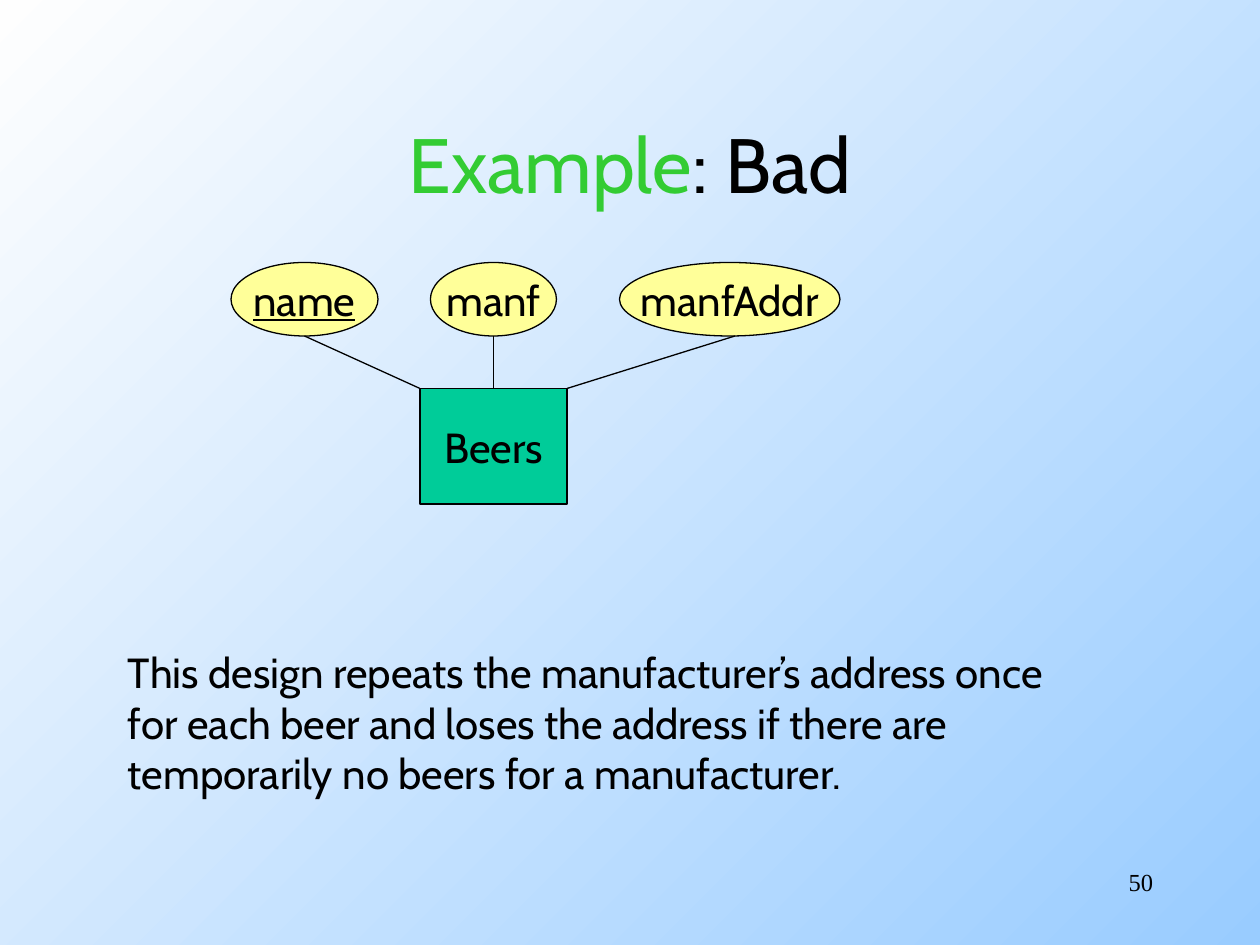
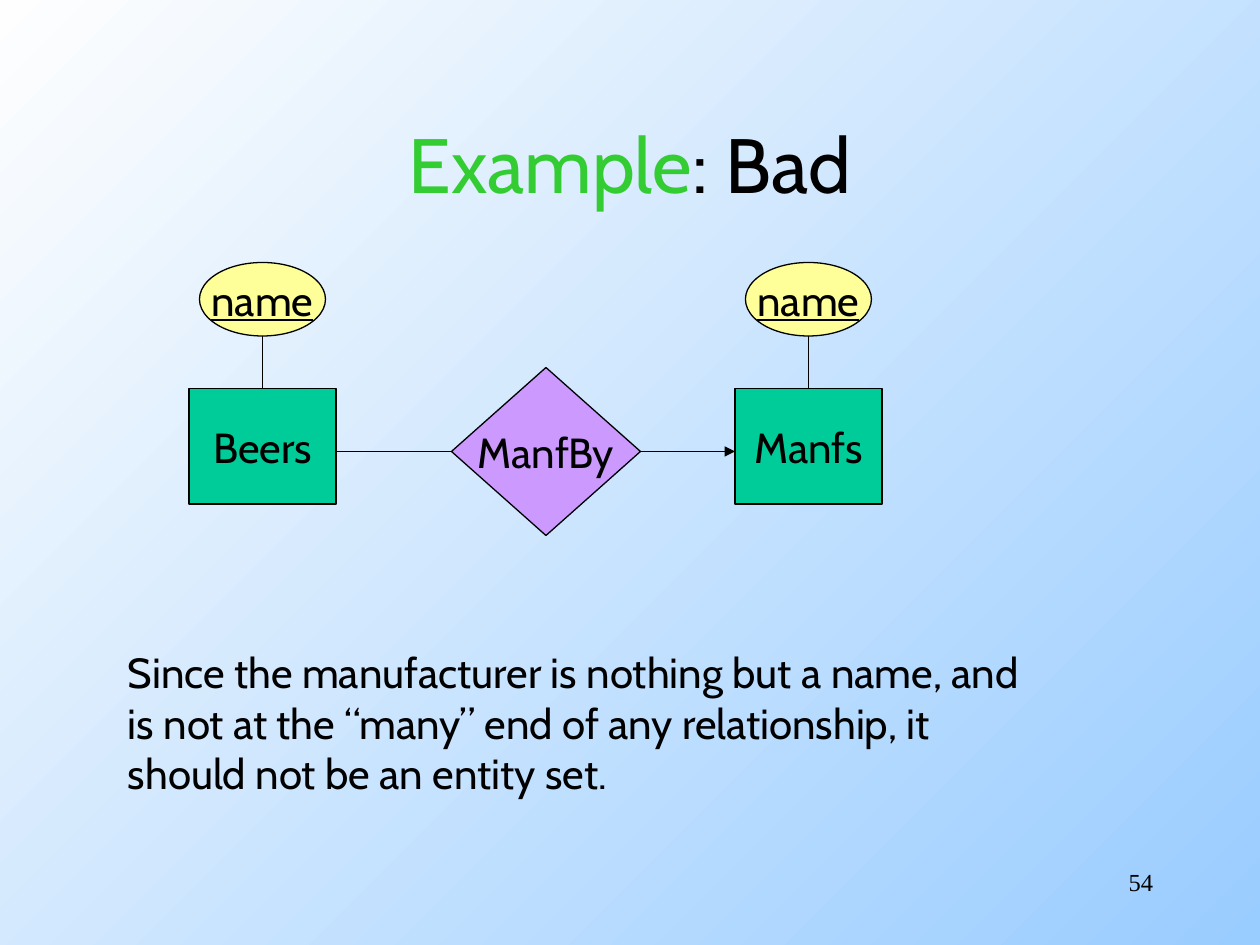
from dataclasses import dataclass
from typing import Optional

import lxml.etree
import pptx
import pptx.dml.color
import pptx.enum.dml
import pptx.enum.shapes
import pptx.enum.text
import pptx.oxml.ns
import pptx.presentation
import pptx.shapes.autoshape
import pptx.slide
import pptx.text.text
import pptx.util

Pt = pptx.util.Pt
Preset = pptx.enum.shapes.MSO_SHAPE
Align = pptx.enum.text.PP_ALIGN
Anchor = pptx.enum.text.MSO_ANCHOR
AutoSize = pptx.enum.text.MSO_AUTO_SIZE

BODY_FONT = "Cabin"
NUMBER_FONT = "Times New Roman"
BLACK = "000000"
ACCENT = "33CC33"
SKY = "99CCFF"
WHITE = "FEFEFE"
LINE_WIDTH = 0.75

ATTRIBUTE_TOP = 150
ATTRIBUTE_HEIGHT = 42
ATTRIBUTE_BOTTOM = ATTRIBUTE_TOP + ATTRIBUTE_HEIGHT
ENTITY_TOP = 222
ENTITY_WIDTH = 84
ENTITY_HEIGHT = 66
RELATION_WIDTH = 108
RELATION_HEIGHT = 96
RELATION_AXIS = 258


@dataclass(frozen=True)
class Node:
    label: str
    preset: Preset
    fill: str
    left: float
    top: float
    width: float
    height: float
    is_key: bool = False


@dataclass(frozen=True)
class Link:
    start: tuple[float, float]
    end: tuple[float, float]
    arrow: bool = False


@dataclass(frozen=True)
class Example:
    nodes: list[Node]
    links: list[Link]
    remark: str
    remark_height: float
    number: int


def entity(label: str, left: float) -> Node:
    return Node(label, Preset.RECTANGLE, "00CC99", left, ENTITY_TOP, ENTITY_WIDTH, ENTITY_HEIGHT)


def attribute(label: str, left: float, width: float, is_key: bool = False) -> Node:
    return Node(label, Preset.OVAL, "FFFF99", left, ATTRIBUTE_TOP, width, ATTRIBUTE_HEIGHT, is_key)


def relation(label: str, left: float) -> Node:
    top = RELATION_AXIS - RELATION_HEIGHT / 2
    return Node(label, Preset.DIAMOND, "CC99FF", left, top, RELATION_WIDTH, RELATION_HEIGHT)


def attribute_link(attribute_x: float, entity_x: float) -> Link:
    return Link((attribute_x, ATTRIBUTE_BOTTOM), (entity_x, ENTITY_TOP))


def relation_link(start_x: float, end_x: float, arrow: bool = False) -> Link:
    return Link((start_x, RELATION_AXIS), (end_x, RELATION_AXIS), arrow)


EXAMPLES = [
    Example(
        nodes=[
            entity("Beers", 240),
            attribute("name", 132, 84, is_key=True),
            attribute("manf", 246, 72),
            attribute("manfAddr", 354, 126),
        ],
        links=[attribute_link(174, 240), attribute_link(282, 282), attribute_link(420, 324)],
        remark="This design repeats the manufacturer’s address once for each beer "
        "and loses the address if there are temporarily no beers for a manufacturer.",
        remark_height=122.4,
        number=50,
    ),
    Example(
        nodes=[
            entity("Beers", 108),
            entity("Manfs", 420),
            relation("ManfBy", 258),
            attribute("name", 114, 72, is_key=True),
            attribute("name", 426, 72, is_key=True),
        ],
        links=[
            relation_link(366, 372),
            relation_link(258, 192),
            relation_link(372, 420, arrow=True),
            attribute_link(150, 150),
            attribute_link(462, 462),
        ],
        remark="Since the manufacturer is nothing but a name, and is not at the “many” end "
        "of any relationship, it should not be an entity set.",
        remark_height=93.6,
        number=54,
    ),
]


def rgb(value: str) -> pptx.dml.color.RGBColor:
    return pptx.dml.color.RGBColor.from_string(value)


def format_run(
    run: pptx.text.text._Run,
    size: float,
    color: str = BLACK,
    name: str = BODY_FONT,
    underline: Optional[bool] = None,
) -> None:
    run.font.size = Pt(size)
    run.font.name = name
    run.font.color.rgb = rgb(color)
    run.font.underline = underline


def paint_background(master: pptx.slide.SlideMaster) -> None:
    fill = master.background.fill
    fill.gradient()
    fill.gradient_angle = 135
    for stop, color in zip(fill.gradient_stops, (SKY, WHITE)):
        stop.color.rgb = rgb(color)


def format_title(slide: pptx.slide.Slide) -> None:
    title = slide.shapes.title
    title.left, title.top, title.width, title.height = Pt(54), Pt(48), Pt(612), Pt(90)
    frame = title.text_frame
    frame.text = "Example"
    frame.auto_size = AutoSize.NONE
    frame.vertical_anchor = Anchor.MIDDLE
    heading = frame.paragraphs[0]
    heading.alignment = Align.CENTER
    heading.add_run().text = ": Bad"
    for run, color in zip(heading.runs, (ACCENT, BLACK)):
        format_run(run, 44, color)


def draw_node(slide: pptx.slide.Slide, node: Node) -> None:
    shape = slide.shapes.add_shape(
        node.preset, Pt(node.left), Pt(node.top), Pt(node.width), Pt(node.height)
    )
    shape.shadow.inherit = False
    shape.fill.solid()
    shape.fill.fore_color.rgb = rgb(node.fill)
    shape.line.color.rgb = rgb(BLACK)
    shape.line.width = Pt(LINE_WIDTH)
    frame = shape.text_frame
    frame.text = node.label
    frame.word_wrap = False
    frame.vertical_anchor = Anchor.MIDDLE
    frame.paragraphs[0].alignment = Align.CENTER
    format_run(frame.paragraphs[0].runs[0], 24, underline=node.is_key or None)


def draw_link(slide: pptx.slide.Slide, link: Link) -> None:
    connector = slide.shapes.add_connector(
        pptx.enum.shapes.MSO_CONNECTOR.STRAIGHT,
        *(Pt(value) for value in link.start + link.end),
    )
    connector.line.color.rgb = rgb(BLACK)
    connector.line.width = Pt(LINE_WIDTH)
    properties = connector._element.spPr
    if link.arrow:
        outline = properties.find(pptx.oxml.ns.qn("a:ln"))
        lxml.etree.SubElement(outline, pptx.oxml.ns.qn("a:tailEnd"), type="triangle")
    lxml.etree.SubElement(properties, pptx.oxml.ns.qn("a:effectLst"))


def add_text(
    slide: pptx.slide.Slide, text: str, left: float, top: float, width: float, height: float
) -> pptx.text.text.TextFrame:
    box = slide.shapes.add_textbox(Pt(left), Pt(top), Pt(width), Pt(height))
    frame = box.text_frame
    frame.word_wrap = True
    frame.text = text
    return frame


def draw_remark(slide: pptx.slide.Slide, example: Example) -> None:
    remark = add_text(slide, example.remark, 66, 366, 541.5, example.remark_height)
    remark.auto_size = AutoSize.SHAPE_TO_FIT_TEXT
    format_run(remark.paragraphs[0].runs[0], 24)


def draw_number(slide: pptx.slide.Slide, example: Example) -> None:
    number = add_text(slide, str(example.number), 516, 492, 150, 36)
    number.paragraphs[0].alignment = Align.RIGHT
    format_run(number.paragraphs[0].runs[0], 14, name=NUMBER_FONT)


def build_slide(deck: pptx.presentation.Presentation, example: Example) -> None:
    slide = deck.slides.add_slide(deck.slide_layouts.get_by_name("Title Only"))
    format_title(slide)
    for node in example.nodes:
        draw_node(slide, node)
    for link in example.links:
        draw_link(slide, link)
    draw_remark(slide, example)
    draw_number(slide, example)


def main() -> None:
    deck = pptx.Presentation()
    deck.slide_width, deck.slide_height = Pt(720), Pt(540)
    paint_background(deck.slide_master)
    for example in EXAMPLES:
        build_slide(deck, example)
    deck.save("out.pptx")


if __name__ == "__main__":
    main()
